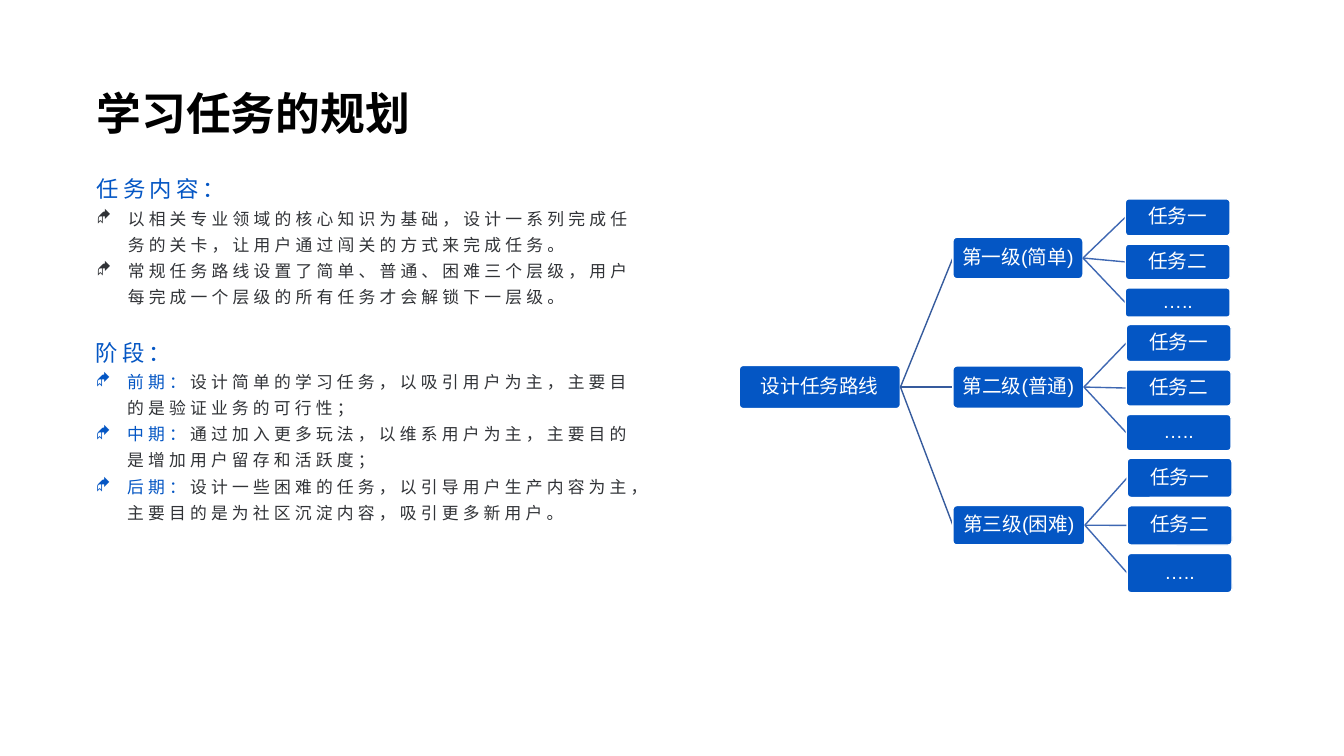
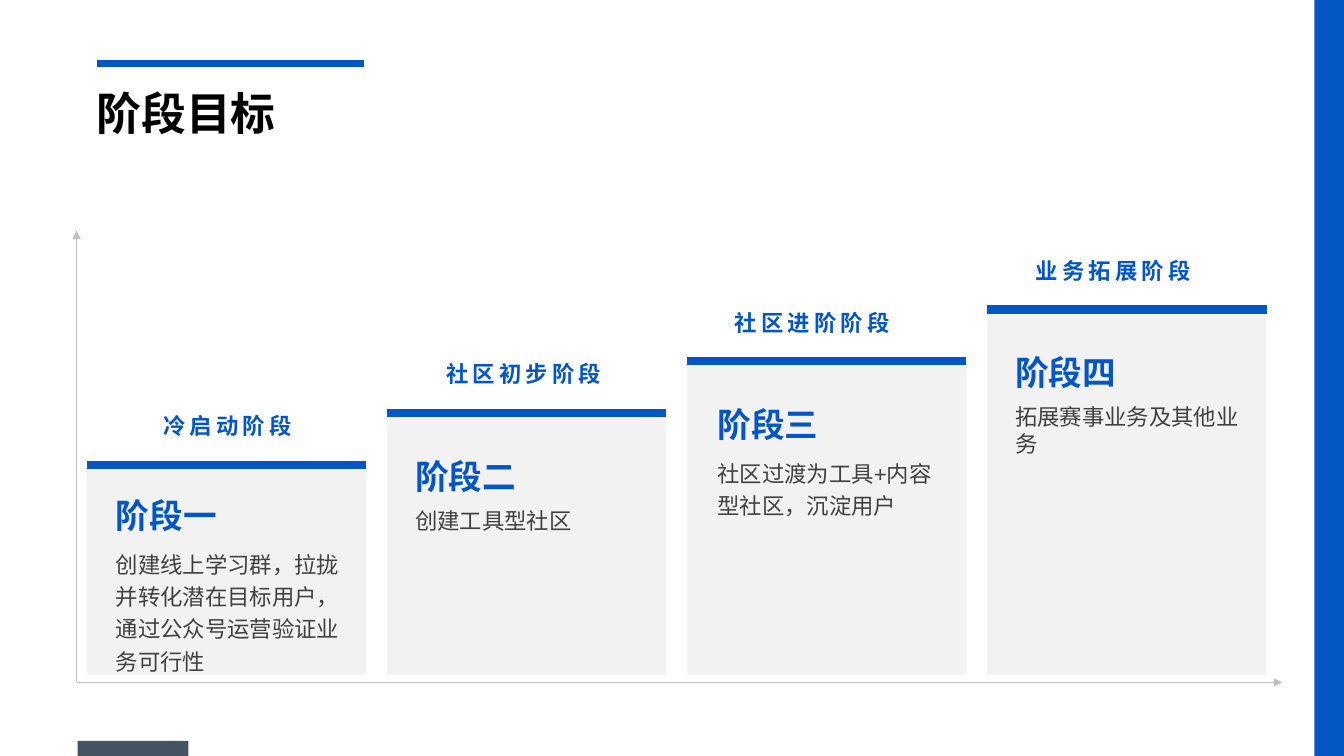
"""Build two slides: a learning task plan and the goals of four phases."""
from lxml import etree
from pptx import Presentation
from pptx.dml.color import RGBColor
from pptx.enum.shapes import MSO_CONNECTOR, MSO_SHAPE
from pptx.enum.text import MSO_ANCHOR, PP_ALIGN
from pptx.oxml.ns import qn
from pptx.util import Inches, Pt

STRAIGHT = MSO_CONNECTOR.STRAIGHT
RECTANGLE, ROUNDED = MSO_SHAPE.RECTANGLE, MSO_SHAPE.ROUNDED_RECTANGLE
LEFT, CENTER = PP_ALIGN.LEFT, PP_ALIGN.CENTER
TOP, MIDDLE = MSO_ANCHOR.TOP, MSO_ANCHOR.MIDDLE

WIDTH, HEIGHT = Inches(13.333), Inches(7.5)
CJK_FONT = "Noto Sans CJK SC"
COLORS = {
    "blue": "0456C4", "black": "000000", "white": "FFFFFF", "ink": "313337",
    "body": "404040", "card": "F2F2F2", "axis": "BFBFBF", "slate": "455262",
    "trunk": "365B9D", "twig": "3E67B2",
}
FORMATS = {
    "title": {"name": "Arial", "size": Pt(32), "bold": True},
    "section": {"name": CJK_FONT, "size": Pt(16)},
    "bullet": {"name": CJK_FONT, "size": Pt(12)},
    "node": {"name": "Arial", "size": Pt(14)},
    "phase": {"name": "Arial", "size": Pt(24), "bold": True},
    "label": {"name": "Arial", "size": Pt(16), "bold": True},
    "body": {"name": "Arial", "size": Pt(16)},
}
SPACED = {"section", "bullet", "label"}

SECTIONS = [
    ((6.45, 21.47, 42.45, 19.73), "任务内容：", [
        ("", "以相关专业领域的核心知识为基础，设计一系列完成任务的关卡，让用户通过闯关的方式来完成任务。"),
        ("", "常规任务路线设置了简单、普通、困难三个层级，用户每完成一个层级的所有任务才会解锁下一层级。"),
    ]),
    ((6.4, 43.07, 41.7, 26.67), "阶段：", [
        ("前期：", "设计简单的学习任务，以吸引用户为主，主要目的是验证业务的可行性；"),
        ("中期：", "通过加入更多玩法，以维系用户为主，主要目的是增加用户留存和活跃度；"),
        ("后期：", "设计一些困难的任务，以引导用户生产内容为主，主要目的是为社区沉淀内容，吸引更多新用户。"),
    ]),
]
TASKS = ["任务一", "任务二", "….."]
BRANCHES = [
    ("第一级(简单)", 34.13, 9.68, 5.5, 26.3, (4.9, 4.7, 3.85)),
    ("第二级(普通)", 51.2, 9.75, 5.6, 42.93, (4.9, 4.8, 4.8)),
    ("第三级(困难)", 69.47, 9.82, 5.2, 60.6, (5.2, 5.2, 5.2)),
]
PHASES = [
    ("冷启动阶段", 0.08, "阶段一", 1.43, 3.33, 1.2,
     "创建线上学习群，拉拢并转化潜在目标用户，通过公众号运营验证业务可行性"),
    ("社区初步阶段", -0.22, "阶段二", 1.37, 5, 1.0, "创建工具型社区"),
    ("社区进阶阶段", -1.05, "阶段三", 1.54, 5, 1.2, "社区过渡为工具+内容型社区，沉淀用户"),
    ("业务拓展阶段", -1.0, "阶段四", 1.36, 5, 1.0, "拓展赛事业务及其他业务"),
]


def across(share):
    """Turn a percentage of the slide width into a length."""
    return int(WIDTH * share / 100)


def down(share):
    """Turn a percentage of the slide height into a length."""
    return int(HEIGHT * share / 100)


def place(area):
    """Turn left, top, width and height shares into lengths."""
    left, top, width, height = area
    return across(left), down(top), across(width), down(height)


def rgb(color):
    """Look up a palette colour."""
    return RGBColor.from_string(COLORS[color])


def add_span(para, text, style, color):
    """Append a formatted run."""
    span = para.add_run()
    span.text = text
    for name, value in FORMATS[style].items():
        setattr(span.font, name, value)
    span.font.color.rgb = rgb(color)
    props = span._r.get_or_add_rPr()
    etree.SubElement(props, qn("a:ea")).set("typeface", CJK_FONT)
    if style in SPACED:
        props.set("spc", "300")


def set_bullet(para):
    """Give a paragraph a hanging diamond bullet."""
    props = para._p.get_or_add_pPr()
    props.set("marL", str(Inches(0.31)))
    props.set("indent", str(-Inches(0.31)))
    etree.SubElement(props, qn("a:buFont")).set("typeface", "Wingdings")
    etree.SubElement(props, qn("a:buChar")).set("char", "◆")


def add_text(page, area, text, style, color, align=LEFT, spacing=1.0):
    """Add a text box with one paragraph and return its frame."""
    frame = page.shapes.add_textbox(*place(area)).text_frame
    frame.word_wrap = True
    para = frame.paragraphs[0]
    para.alignment, para.line_spacing = align, spacing
    add_span(para, text, style, color)
    return frame


def add_section(page, area, heading, items):
    """Add a heading followed by bulleted paragraphs."""
    frame = add_text(page, area, heading, "section", "blue", spacing=1.3)
    for lead, text in items:
        para = frame.add_paragraph()
        set_bullet(para)
        para.line_spacing = 1.3
        if lead:
            add_span(para, lead, "bullet", "blue")
        add_span(para, text, "bullet", "ink")


def add_block(page, area, color, kind=RECTANGLE):
    """Add a filled shape without outline or shadow."""
    box = page.shapes.add_shape(kind, *place(area))
    box.shadow.inherit = False
    box.fill.solid()
    box.fill.fore_color.rgb = rgb(color)
    box.line.fill.background()
    return box


def add_node(page, area, text):
    """Add a rounded tree node with centred text."""
    box = add_block(page, area, "blue", ROUNDED)
    box.adjustments[0] = 0.1
    box.line.color.rgb = rgb("white")
    box.line.width = Pt(1)
    frame = box.text_frame
    frame.word_wrap = True
    margins = ("margin_left", "margin_top", "margin_right", "margin_bottom")
    for name, value in {**dict.fromkeys(margins, Inches(0.01)), "vertical_anchor": MIDDLE}.items():
        setattr(frame, name, value)
    para = frame.paragraphs[0]
    para.alignment, para.line_spacing = CENTER, 0.9
    add_span(para, text, "node", "white")


def add_line(page, start, end, color, weight, arrow=False):
    """Draw a straight connector between two points."""
    line = page.shapes.add_connector(
        STRAIGHT, across(start[0]), down(start[1]), across(end[0]), down(end[1]))
    line.line.color.rgb = rgb(color)
    line.line.width = Pt(weight)
    if arrow:
        etree.SubElement(line.line._get_or_add_ln(), qn("a:tailEnd")).set("type", "triangle")
    etree.SubElement(line._element.spPr, qn("a:effectLst"))


def add_page(deck, title):
    """Add a blank slide with the shared title."""
    page = deck.slides.add_slide(deck.slide_layouts[6])
    add_text(page, (6.45, 10.67, 33, 8.53), title, "title", "black")
    return page


def add_branch(page, root, branch):
    """Add one level of the tree with its tasks."""
    name, middle, width, height, top, leaf_heights = branch
    left, link, gap = 70.9, 3.15, 1.1
    add_line(page, root, (left, middle), "trunk", 1)
    add_node(page, (left, middle - height / 2, width, height), name)
    fork = left + width
    for task, leaf_height in zip(TASKS, leaf_heights):
        add_line(page, (fork, middle), (fork + link, top + leaf_height / 2), "twig", 1)
        add_node(page, (fork + link, top, 7.8, leaf_height), task)
        top += leaf_height + gap


def add_phase(page, index, phase):
    """Add one step of the phase staircase."""
    label, shift, name, inset, drop, spacing, text = phase
    left, top, width = 6.45 + 22.33 * index, 61.47 - 6.84 * index, 20.8
    add_block(page, (left, top, width, 89.2 - top), "card")
    add_line(page, (left, top), (left + width, top), "blue", 6)
    add_text(page, (left + shift, top - 7.6, width, 4.93), label, "label", "blue", CENTER)
    add_text(page, (left + inset, top + drop, 18.15, 6.73), name, "phase", "blue")
    add_text(page, (left + inset, top + drop + 6.73, 18.15, 8.5), text, "body", "body",
             spacing=spacing)


def build_plan(deck):
    """Build the task plan slide."""
    page = add_page(deck, "学习任务的规划")
    for section in SECTIONS:
        add_section(page, *section)
    add_node(page, (55, 48.33, 12, 5.73), "设计任务路线")
    for branch in BRANCHES:
        add_branch(page, (67, 51.2), branch)


def build_goals(deck):
    """Build the phase goals slide."""
    page = add_page(deck, "阶段目标")
    add_line(page, (7.2, 8.4), (27.08, 8.4), "blue", 4.75)
    add_block(page, (5.78, 98, 8.25, 2), "slate")
    add_block(page, (97.8, 0, 2.2, 100), "blue")
    for end in ((95.4, 90.27), (5.7, 30.53)):
        add_line(page, (5.7, 90.27), end, "axis", 0.5, arrow=True)
    for index, phase in enumerate(PHASES):
        add_phase(page, index, phase)


def main():
    """Build and save the deck."""
    deck = Presentation()
    deck.slide_width, deck.slide_height = WIDTH, HEIGHT
    build_plan(deck)
    build_goals(deck)
    deck.save("out.pptx")


if __name__ == "__main__":
    main()
